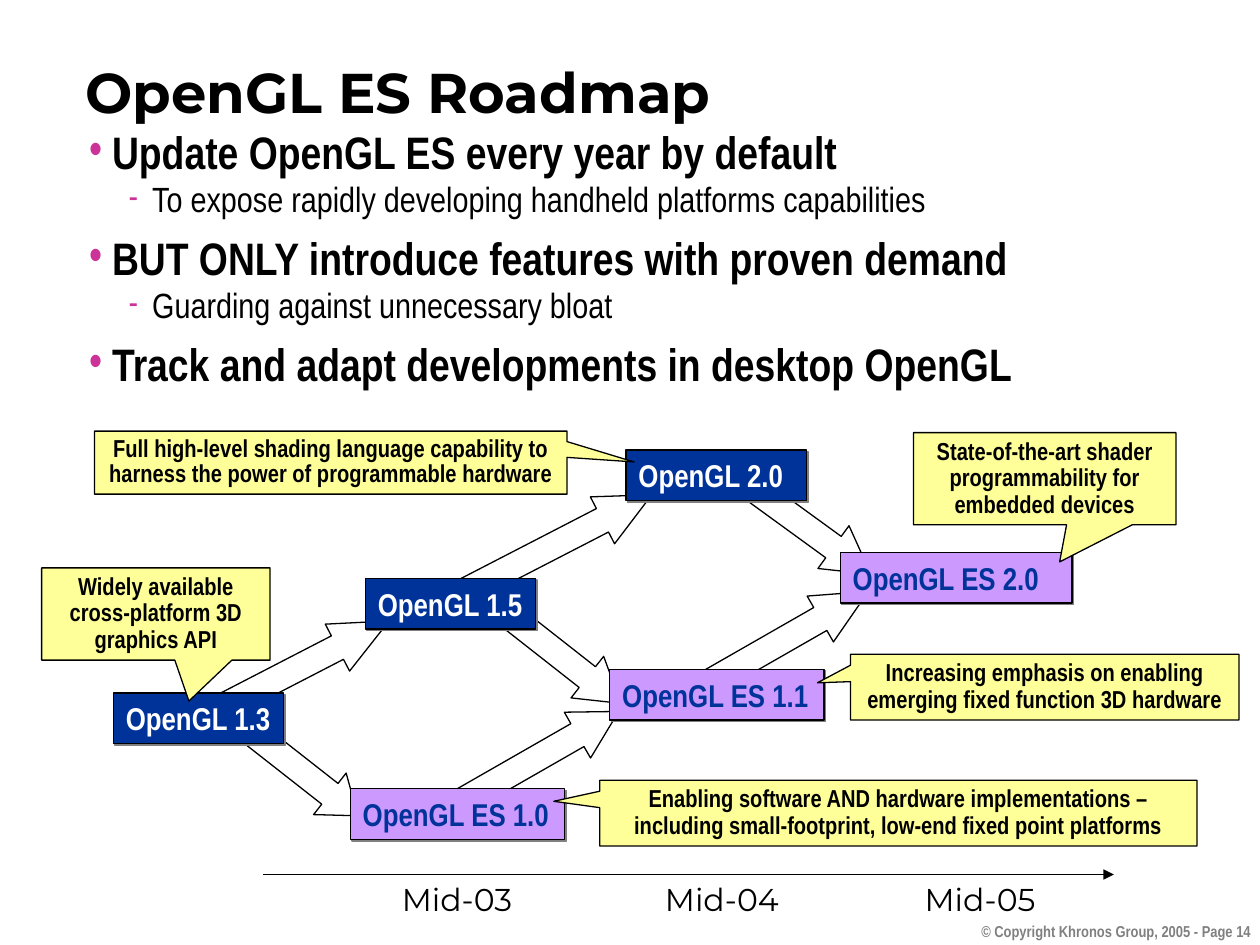
from dataclasses import dataclass

from lxml import etree
from pptx import Presentation
from pptx.dml.color import RGBColor
from pptx.enum.shapes import MSO_CONNECTOR, MSO_SHAPE
from pptx.enum.text import MSO_ANCHOR, PP_ALIGN
from pptx.oxml.ns import qn
from pptx.util import Pt

RECTANGLE = MSO_SHAPE.RECTANGLE
ARROW = MSO_SHAPE.RIGHT_ARROW
CALLOUT = MSO_SHAPE.RECTANGULAR_CALLOUT
STRAIGHT = MSO_CONNECTOR.STRAIGHT
LEFT, CENTER, RIGHT = PP_ALIGN.LEFT, PP_ALIGN.CENTER, PP_ALIGN.RIGHT
TOP, MIDDLE = MSO_ANCHOR.TOP, MSO_ANCHOR.MIDDLE


@dataclass(frozen=True)
class Theme:
    narrow: str = "Arial Narrow"
    display: str = "Montserrat"
    black: str = "000000"
    white: str = "FFFFFF"
    navy: str = "003399"
    lilac: str = "CC99FF"
    yellow: str = "FFFF99"
    magenta: str = "CC3399"
    gray: str = "808080"
    title_size: float = 32
    point_size: float = 26
    detail_size: float = 20
    label_size: float = 18
    callout_size: float = 14
    footer_size: float = 9
    line_width: float = 0.75


THEME = Theme()

POINTS = [
    (0, "Update OpenGL ES every year by default"),
    (1, "To expose rapidly developing handheld platforms capabilities"),
    (0, "BUT ONLY introduce features with proven demand"),
    (1, "Guarding against unnecessary bloat"),
    (0, "Track and adapt developments in desktop OpenGL"),
]

ARROWS = [
    (361.6, 11, 105.1, 36, 0.876),
    (337.6, 83, 126, 330.2, 1.049),
    (212.5, 25.4, 126, 332.7, 1.05),
    (227.6, 85.9, 96.5, 38.1, 0.806),
    (211.7, 147.1, 108, 330.2, 0.9),
    (91.5, 155, 80.6, 38.1, 0.673),
    (56.9, 98.8, 131.8, 332.7, 1.099),
]

DESKTOP_RELEASES = [
    ("OpenGL 1.3", 23.8, 124.8, 97.2),
    ("OpenGL 1.5", 167.8, 59.3, 97.2),
    ("OpenGL 2.0", 316.8, -14.1, 103),
]

EMBEDDED_RELEASES = [
    ("OpenGL ES 1.0", 159.2, 179.5, 122.4),
    ("OpenGL ES 1.1", 307.5, 111.3, 122.4),
    ("OpenGL ES 2.0", 439.2, 44.4, 132.5),
]

CALLOUTS = [
    ("Enabling software AND hardware implementations – "
     "including small-footprint, low-end fixed point platforms",
     (301.7, 174.7, 341.3, 37.6), (-0.577, -0.18), 0.9),
    ("State-of-the-art shader programmability for embedded devices",
     (481, -24, 150, 52.7), (0.057, 0.902), 0.9),
    ("Widely available cross-platform 3D graphics API",
     (-17.2, 53.3, 130.5, 52.7), (0.145, 0.944), 0.9),
    ("Full high-level shading language capability to "
     "harness the power of programmable hardware",
     (13, -24.8, 270, 36), (0.642, -0.011), 0.85),
    ("Increasing emphasis on enabling emerging fixed function 3D hardware",
     (445, 102.7, 222, 37.6), (-0.585, -0.066), 0.9),
]

DATES = [("Mid-03", 72), ("Mid-04", 222.4), ("Mid-05", 370.8)]


def color(value):
    return RGBColor.from_string(value)


def style(paragraph, font, size, font_color, bold=False, align=LEFT):
    paragraph.alignment = align
    paragraph.font.name = font
    paragraph.font.size = Pt(size)
    paragraph.font.bold = bold
    paragraph.font.color.rgb = color(font_color)


def write(shape, text, font, size, font_color, bold=False, align=LEFT, anchor=TOP):
    frame = shape.text_frame
    frame.word_wrap = True
    frame.vertical_anchor = anchor
    paragraph = frame.paragraphs[0]
    paragraph.text = text
    style(paragraph, font, size, font_color, bold, align)
    return paragraph


def add_text(slide, box, *text_style, **options):
    shape = slide.shapes.add_textbox(*map(Pt, box))
    write(shape, *text_style, **options)


def add_filled(slide, kind, box, fill):
    shape = slide.shapes.add_shape(kind, *map(Pt, box))
    shape.shadow.inherit = False
    shape.fill.solid()
    shape.fill.fore_color.rgb = color(fill)
    shape.line.color.rgb = color(THEME.black)
    shape.line.width = Pt(THEME.line_width)
    return shape


def add_bullet(paragraph, symbol, margin, indent):
    properties = paragraph._p.get_or_add_pPr()
    properties.set("marL", str(Pt(margin)))
    properties.set("indent", str(Pt(indent)))
    bullet_color = etree.SubElement(properties, qn("a:buClr"))
    etree.SubElement(bullet_color, qn("a:srgbClr"), val=THEME.magenta)
    etree.SubElement(properties, qn("a:buFont"), typeface=THEME.narrow)
    etree.SubElement(properties, qn("a:buChar"), char=symbol)


def add_points(slide, box):
    frame = slide.shapes.add_textbox(*map(Pt, box)).text_frame
    frame.word_wrap = True
    for index, (level, text) in enumerate(POINTS):
        paragraph = frame.paragraphs[0] if index == 0 else frame.add_paragraph()
        paragraph.text = text
        paragraph.level = level
        if level == 0:
            add_bullet(paragraph, "•", 13, -13)
            style(paragraph, THEME.narrow, THEME.point_size, THEME.black, bold=True)
        else:
            add_bullet(paragraph, "-", 36, -13.5)
            style(paragraph, THEME.narrow, THEME.detail_size, THEME.black)
        paragraph.line_spacing = 0.95
        paragraph.space_before = Pt(8.1 if level == 0 and index else 0)


def add_release(slide, box, text, fill, font_color):
    shape = add_filled(slide, RECTANGLE, box, fill)
    effects = shape._element.spPr.find(qn("a:effectLst"))
    shadow = etree.SubElement(effects, qn("a:outerShdw"), dist=str(Pt(1.4)),
                              dir="2700000", algn="ctr", rotWithShape="0")
    etree.SubElement(shadow, qn("a:srgbClr"), val=THEME.gray)
    shape.text_frame.margin_right = 0
    write(shape, text, THEME.narrow, THEME.label_size, font_color, bold=True)


def add_roadmap(slide, box):
    left, top = box[:2]
    for x, y, width, angle, head in ARROWS:
        arrow = add_filled(slide, ARROW, (left + x, top + y, width, 30.2), THEME.white)
        arrow.rotation = angle
        arrow.adjustments[0] = 0.5
        arrow.adjustments[1] = head
    for releases, fill, font_color in (
        (DESKTOP_RELEASES, THEME.navy, THEME.white),
        (EMBEDDED_RELEASES, THEME.lilac, THEME.navy),
    ):
        for text, x, y, width in releases:
            add_release(slide, (left + x, top + y, width, 29), text, fill, font_color)
    for text, (x, y, width, height), tip, spacing in CALLOUTS:
        callout = add_filled(slide, CALLOUT, (left + x, top + y, width, height), THEME.yellow)
        callout.adjustments[0], callout.adjustments[1] = tip
        paragraph = write(callout, text, THEME.narrow, THEME.callout_size, THEME.black,
                          bold=True, align=CENTER, anchor=MIDDLE)
        paragraph.line_spacing = spacing


def add_timeline(slide, box):
    left, top, width, height = box
    axis = slide.shapes.add_connector(STRAIGHT, Pt(left), Pt(top), Pt(left + width), Pt(top))
    axis.line.color.rgb = color(THEME.black)
    axis.line.width = Pt(THEME.line_width)
    etree.SubElement(axis.line._get_or_add_ln(), qn("a:tailEnd"), type="triangle")
    etree.SubElement(axis._element.spPr, qn("a:effectLst"))
    for text, x in DATES:
        add_text(slide, (left + x, top - 0.3, 84, height), text,
                 THEME.display, THEME.label_size, THEME.black)


def main():
    presentation = Presentation()
    presentation.slide_width, presentation.slide_height = Pt(720), Pt(540)
    slide = presentation.slides.add_slide(presentation.slide_layouts[6])
    add_text(slide, (549.7, 523, 172, 23.8), "© Copyright Khronos Group, 2005 - Page 14",
             THEME.narrow, THEME.footer_size, THEME.gray, bold=True, align=RIGHT)
    add_text(slide, (41.8, 36.7, 674.6, 30.2), "OpenGL ES Roadmap",
             THEME.display, THEME.title_size, THEME.black, bold=True, anchor=MIDDLE)
    add_points(slide, (43.9, 69.8, 676.1, 440))
    add_roadmap(slide, (41, 271.2, 667, 212))
    add_timeline(slide, (150.5, 499.7, 486, 29))
    presentation.save("out.pptx")


if __name__ == "__main__":
    main()
